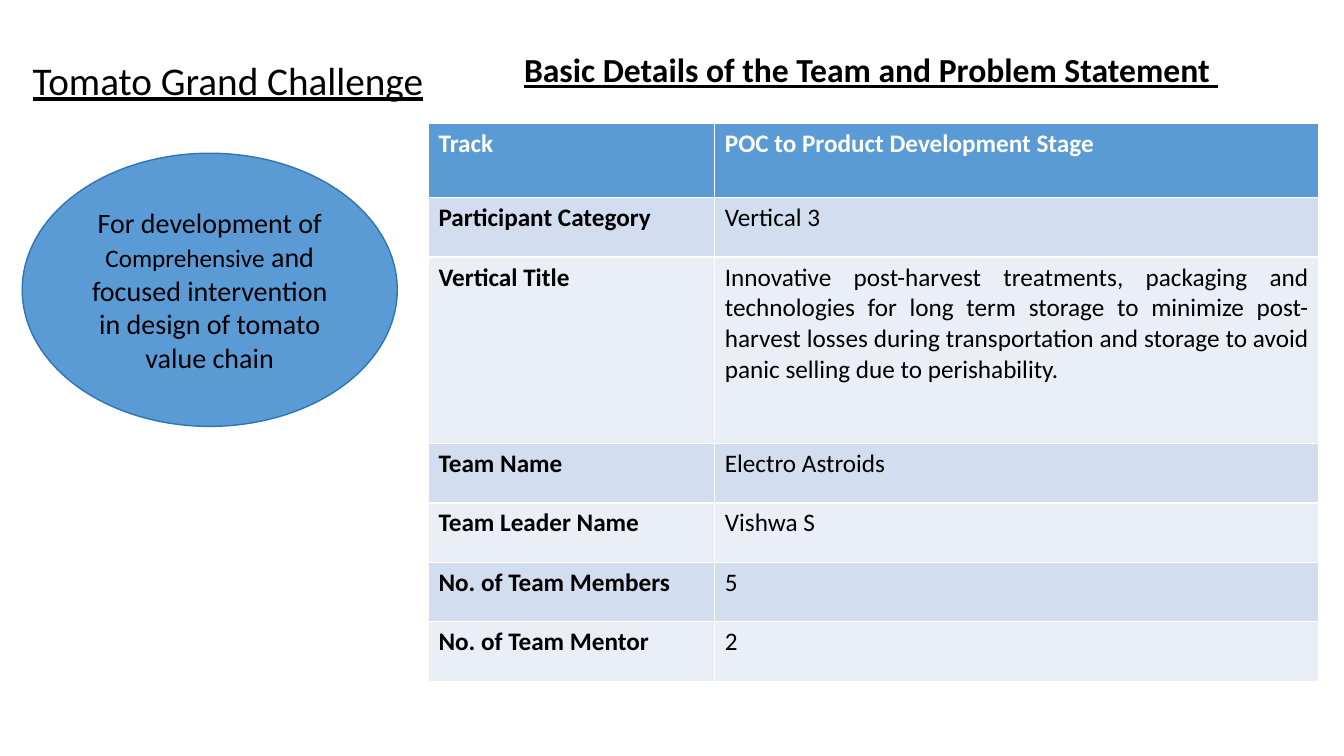
from pptx import Presentation
from pptx.dml.color import RGBColor
from pptx.enum.shapes import MSO_SHAPE
from pptx.enum.text import MSO_ANCHOR, MSO_AUTO_SIZE, PP_ALIGN
from pptx.util import Inches, Pt

BLACK, WHITE = "000000", "FFFFFF"
BLUE, DARK_BLUE = "5B9BD5", "2E75B6"
BANDS = ("EAEFF7", "D2DEEF")

# Table grid in inches
COLUMN_WIDTHS = (2.84, 5.99)
HEADER_HEIGHT, ROW_HEIGHT, TALL_HEIGHT = 0.74, 0.59, 1.85
TALL_LABEL = "Vertical Title"

DETAILS = [
    ("Track", "POC to Product Development Stage"),
    ("Participant Category", "Vertical 3"),
    (TALL_LABEL,
     "Innovative post-harvest treatments, packaging and technologies for long "
     "term storage to minimize post- harvest losses during transportation and "
     "storage to avoid panic selling due to perishability."),
    ("Team Name", "Electro Astroids"),
    ("Team Leader Name", "Vishwa S"),
    ("No. of Team Members", "5"),
    ("No. of Team Mentor", "2"),
]


def color(hex_value):
    return RGBColor.from_string(hex_value)


def box(*lengths):
    return [Inches(length) for length in lengths]


def style(paragraph, size, hex_value=BLACK, bold=False, underline=False,
          align=PP_ALIGN.LEFT):
    paragraph.alignment = align
    font = paragraph.font
    font.name, font.size = "Calibri", Pt(size)
    font.bold, font.underline = bold, underline
    font.color.rgb = color(hex_value)


def add_challenge_title(slide):
    title = slide.shapes.title
    title.left, title.top, title.width, title.height = box(0.14, 0.3, 4.24, 0.78)
    frame = title.text_frame
    frame.text = "Tomato Grand Challenge"
    frame.auto_size = MSO_AUTO_SIZE.NONE
    frame.vertical_anchor = MSO_ANCHOR.BOTTOM
    paragraph = frame.paragraphs[0]
    paragraph.line_spacing = 0.9
    style(paragraph, 28, underline=True, align=PP_ALIGN.CENTER)


def add_purpose_oval(slide):
    oval = slide.shapes.add_shape(MSO_SHAPE.OVAL, *box(0.22, 1.52, 3.72, 2.71))
    oval.shadow.inherit = False
    oval.fill.solid()
    oval.fill.fore_color.rgb = color(BLUE)
    oval.line.color.rgb = color(DARK_BLUE)
    oval.line.width = Pt(1)
    oval.text_frame.vertical_anchor = MSO_ANCHOR.MIDDLE
    purpose = oval.text_frame.paragraphs[0]
    style(purpose, 20, align=PP_ALIGN.CENTER)
    purpose.add_run().text = "For development of"
    purpose.add_line_break()
    emphasis = purpose.add_run()
    emphasis.text = "Comprehensive"
    emphasis.font.size = Pt(18)
    purpose.add_run().text = (
        " and focused intervention in design of tomato value chain")


def row_height(index, label):
    if index == 0:
        return HEADER_HEIGHT
    return TALL_HEIGHT if label == TALL_LABEL else ROW_HEIGHT


def add_details_table(slide):
    heights = [row_height(i, label) for i, (label, _) in enumerate(DETAILS)]
    table = slide.shapes.add_table(
        len(DETAILS), len(COLUMN_WIDTHS),
        *box(4.25, 1.22, sum(COLUMN_WIDTHS), sum(heights))).table
    for column, width in zip(table.columns, COLUMN_WIDTHS):
        column.width = Inches(width)
    for r, (row, height, texts) in enumerate(zip(table.rows, heights, DETAILS)):
        row.height = Inches(height)
        is_header = r == 0
        for c, (cell, text) in enumerate(zip(row.cells, texts)):
            cell.text = text
            cell.fill.solid()
            cell.fill.fore_color.rgb = color(BLUE if is_header else BANDS[r % 2])
            justified = c == 1 and texts[0] == TALL_LABEL
            style(cell.text_frame.paragraphs[0], 18,
                  WHITE if is_header else BLACK,
                  bold=is_header or c == 0,
                  align=PP_ALIGN.JUSTIFY if justified else PP_ALIGN.LEFT)


def add_team_heading(slide):
    frame = slide.shapes.add_textbox(*box(5.1, 0.44, 7.37, 0.5)).text_frame
    frame.word_wrap = True
    frame.auto_size = MSO_AUTO_SIZE.SHAPE_TO_FIT_TEXT
    frame.text = "Basic Details of the Team and Problem Statement "
    style(frame.paragraphs[0], 24, bold=True, underline=True)


def main():
    deck = Presentation()
    deck.slide_width, deck.slide_height = box(13.33, 7.5)
    slide = deck.slides.add_slide(deck.slide_layouts.get_by_name("Title Only"))

    # Challenge and its purpose
    add_challenge_title(slide)
    add_purpose_oval(slide)

    # Team details
    add_details_table(slide)
    add_team_heading(slide)

    deck.save("out.pptx")


if __name__ == "__main__":
    main()
